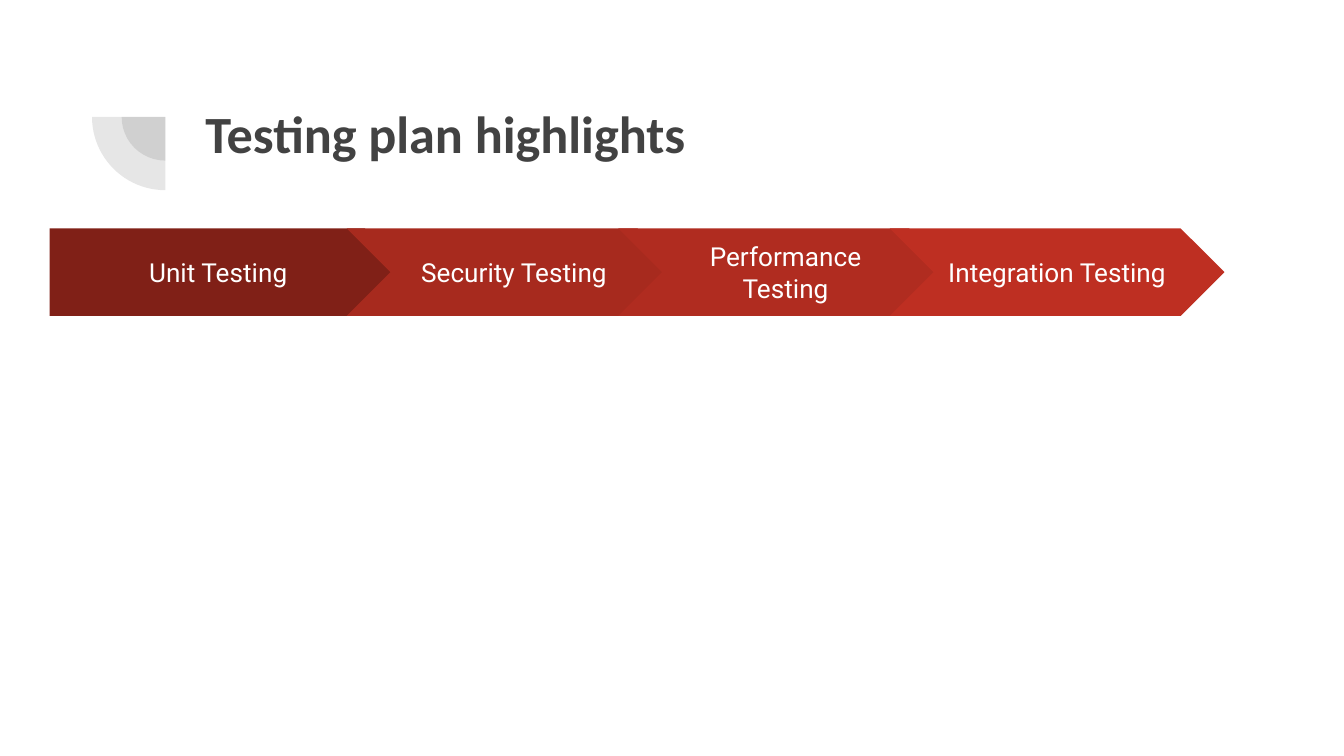
import pptx
import pptx.dml.color
import pptx.enum.shapes
import pptx.enum.text
import pptx.oxml
import pptx.oxml.ns
import pptx.util

SHAPES = pptx.enum.shapes.MSO_SHAPE
ANCHOR = pptx.enum.text.MSO_ANCHOR
ALIGN = pptx.enum.text.PP_ALIGN

SLIDE_WIDTH = 10
SLIDE_HEIGHT = SLIDE_WIDTH * 9 / 16
COLOURS = {"ink": "424242", "label": "FFFFFF"}
STEPS = {
    "Unit Testing": "802017",
    "Security Testing": "A72A1E",
    "Performance Testing": "B02C20",
    "Integration Testing": "BE2F22",
}
BAND_TOP, BAND_HEIGHT = 1.7, 0.65
FIRST_LEFT, FIRST_WIDTH = 0.37, 2.67
CHEVRON_LEFT, CHEVRON_WIDTH, CHEVRON_PITCH = 2.58, 2.49, 2.02
PIE_CENTRE_X, PIE_CENTRE_Y = 1.23, 0.87


def to_inches(*lengths):
    """Convert lengths in inches to slide units."""
    return [pptx.util.Inches(length) for length in lengths]


def write_text(shape, text, font_name, size, colour, bold=False):
    """Fill a shape's text frame with one formatted line."""
    frame = shape.text_frame
    frame.word_wrap = True
    frame.margin_left = frame.margin_right = pptx.util.Inches(0.1)
    frame.margin_top = frame.margin_bottom = pptx.util.Inches(0.1)
    frame.text = text
    font = frame.paragraphs[0].runs[0].font
    font.name = font_name
    font.size = pptx.util.Pt(size)
    font.bold = bold
    font.color.rgb = pptx.dml.color.RGBColor.from_string(colour)
    return frame


def add_filled_shape(slide, kind, box, colour):
    """Add a preset shape with a flat fill and no outline."""
    shape = slide.shapes.add_shape(kind, *to_inches(*box))
    shape.shadow.inherit = False
    shape.fill.solid()
    shape.fill.fore_color.rgb = pptx.dml.color.RGBColor.from_string(colour)
    shape.line.fill.background()
    return shape


def add_quarter_pie(slide, diameter):
    """Add a translucent quarter circle around the shared corner."""
    left, top = PIE_CENTRE_X - diameter / 2, PIE_CENTRE_Y - diameter / 2
    shape = add_filled_shape(slide, SHAPES.PIE, (left, top, diameter, diameter), COLOURS["ink"])
    shape.adjustments[0] = 108
    shape.adjustments[1] = 162
    shape.rotation = 270
    colour = shape.element.spPr.find(".//" + pptx.oxml.ns.qn("a:srgbClr"))
    alpha = pptx.oxml.parse_xml(f'<a:alpha {pptx.oxml.ns.nsdecls("a")} val="13000"/>')
    colour.append(alpha)


def add_title(slide, text):
    """Add the slide heading."""
    box = slide.shapes.add_textbox(*to_inches(1.43, 0.65, 7.69, 1.09))
    write_text(box, text, "Calibri", 28, COLOURS["ink"], bold=True)


def add_step(slide, index, text, colour):
    """Add one arrow of the process band at its column."""
    if index == 0:
        kind, left, width = SHAPES.PENTAGON, FIRST_LEFT, FIRST_WIDTH
    else:
        kind, width = SHAPES.CHEVRON, CHEVRON_WIDTH
        left = CHEVRON_LEFT + (index - 1) * CHEVRON_PITCH
    shape = add_filled_shape(slide, kind, (left, BAND_TOP, width, BAND_HEIGHT), colour)
    shape.adjustments[0] = 0.5
    frame = write_text(shape, text, "Roboto", 14, COLOURS["label"])
    frame.vertical_anchor = ANCHOR.MIDDLE
    frame.paragraphs[0].alignment = ALIGN.CENTER


def main():
    """Build the testing plan slide and save it."""
    presentation = pptx.Presentation()
    presentation.slide_width, presentation.slide_height = to_inches(SLIDE_WIDTH, SLIDE_HEIGHT)
    slide = presentation.slides.add_slide(presentation.slide_layouts[6])
    for diameter in (0.65, 1.09):
        add_quarter_pie(slide, diameter)
    add_title(slide, "Testing plan highlights")
    for index, (text, colour) in enumerate(STEPS.items()):
        add_step(slide, index, text, colour)
    presentation.save("out.pptx")


if __name__ == "__main__":
    main()
